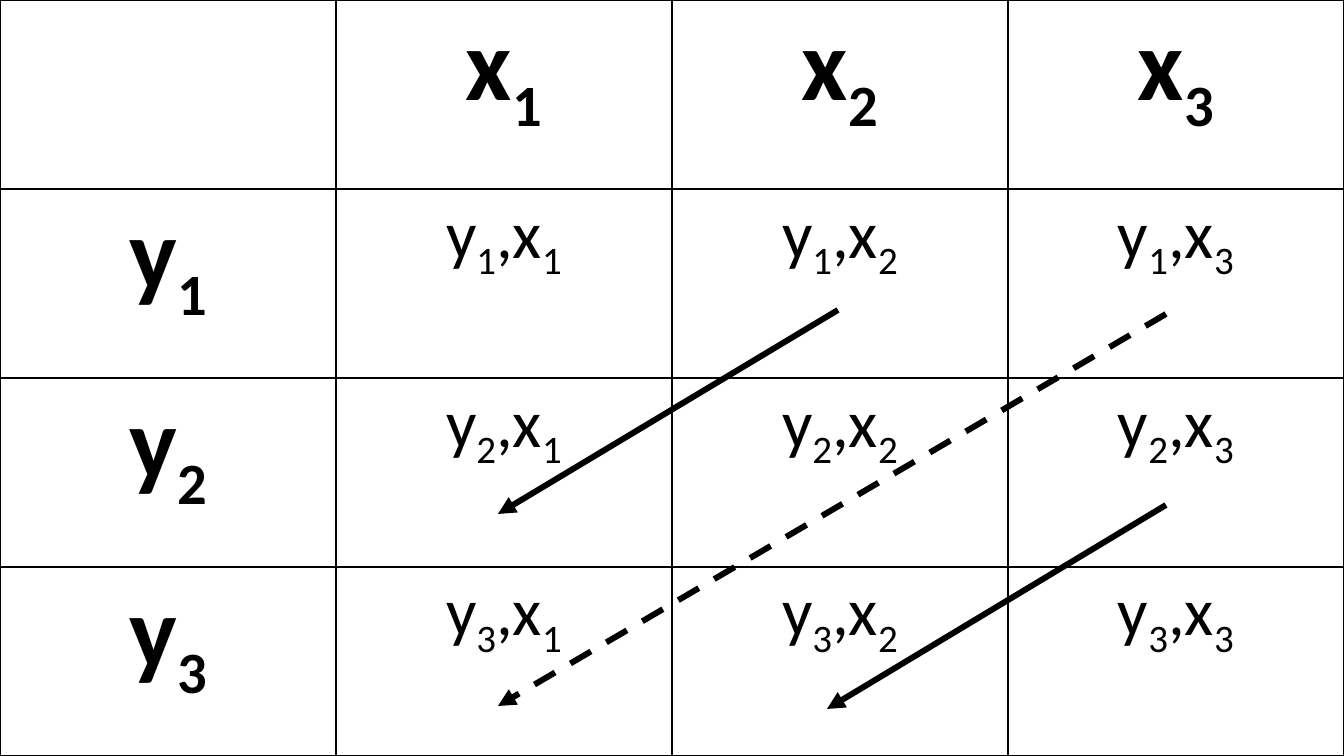
from lxml.etree import SubElement
from pptx import Presentation
from pptx.dml.color import RGBColor
from pptx.enum.dml import MSO_LINE_DASH_STYLE as Dash
from pptx.enum.shapes import MSO_CONNECTOR as Connector
from pptx.enum.text import PP_ALIGN as Align
from pptx.oxml.ns import qn
from pptx.util import Emu, Pt

EMU_PER_PX = 914400 / 100.8
SLIDE_W, SLIDE_H = 1344, 756
GRID = 4
BLACK = RGBColor(0, 0, 0)
FONT = "Calibri"
HEADER_PT, PAIR_PT = 72, 48

SOLID_ARROWS = [((838, 310), (498, 514)), ((1166, 505), (827, 709))]
DASHED_ARROW = ((1166, 314), (498, 706))


def px(length):
    return Emu(round(length * EMU_PER_PX))


def add_border(cell):
    properties = cell._tc.get_or_add_tcPr()
    for side in ("a:lnL", "a:lnR", "a:lnT", "a:lnB"):
        line = SubElement(properties, qn(side), w=str(Pt(1)))
        fill = SubElement(line, qn("a:solidFill"))
        SubElement(fill, qn("a:srgbClr"), val=str(BLACK))


def add_span(para, text, size, bold, subscript=False):
    span = para.add_run()
    span.text = text
    font = span.font
    font.name, font.size, font.bold = FONT, Pt(size), bold
    font.color.rgb = BLACK
    if subscript:
        span._r.get_or_add_rPr().set("baseline", "-25000")


def write_variables(cell, variables, size, bold):
    """Write each (name, index) pair with its index as a subscript."""
    para = cell.text_frame.paragraphs[0]
    para.alignment = Align.CENTER
    for name, index in variables:
        add_span(para, name, size, bold)
        add_span(para, str(index), size, bold, subscript=True)


def cell_variables(row, column):
    if row and column:
        return [("y", row), (",x", column)]
    if row:
        return [("y", row)]
    return [("x", column)] if column else []


def add_grid(page):
    frame = page.shapes.add_table(GRID, GRID, 0, 0, px(SLIDE_W), px(SLIDE_H))
    table = frame.table
    table.first_row = table.horz_banding = False
    for column in table.columns:
        column.width = px(SLIDE_W / GRID)
    for row in table.rows:
        row.height = px(SLIDE_H / GRID)
    for row in range(GRID):
        for column in range(GRID):
            cell = table.cell(row, column)
            add_border(cell)
            cell.fill.background()
            is_pair = row > 0 and column > 0
            size = PAIR_PT if is_pair else HEADER_PT
            write_variables(cell, cell_variables(row, column), size, not is_pair)


def add_arrow(page, start, end, dash=None):
    arrow = page.shapes.add_connector(
        Connector.STRAIGHT, *map(px, start), *map(px, end))
    arrow.line.color.rgb = BLACK
    arrow.line.width = Pt(4.25)
    if dash is not None:
        arrow.line.dash_style = dash
    SubElement(arrow.line._get_or_add_ln(), qn("a:tailEnd"), type="triangle")
    SubElement(arrow._element.spPr, qn("a:effectLst"))


def main():
    deck = Presentation()
    deck.slide_width, deck.slide_height = px(SLIDE_W), px(SLIDE_H)
    page = deck.slides.add_slide(deck.slide_layouts[6])
    add_grid(page)
    for start, end in SOLID_ARROWS:
        add_arrow(page, start, end)
    add_arrow(page, *DASHED_ARROW, dash=Dash.DASH)
    deck.save("out.pptx")


if __name__ == "__main__":
    main()
